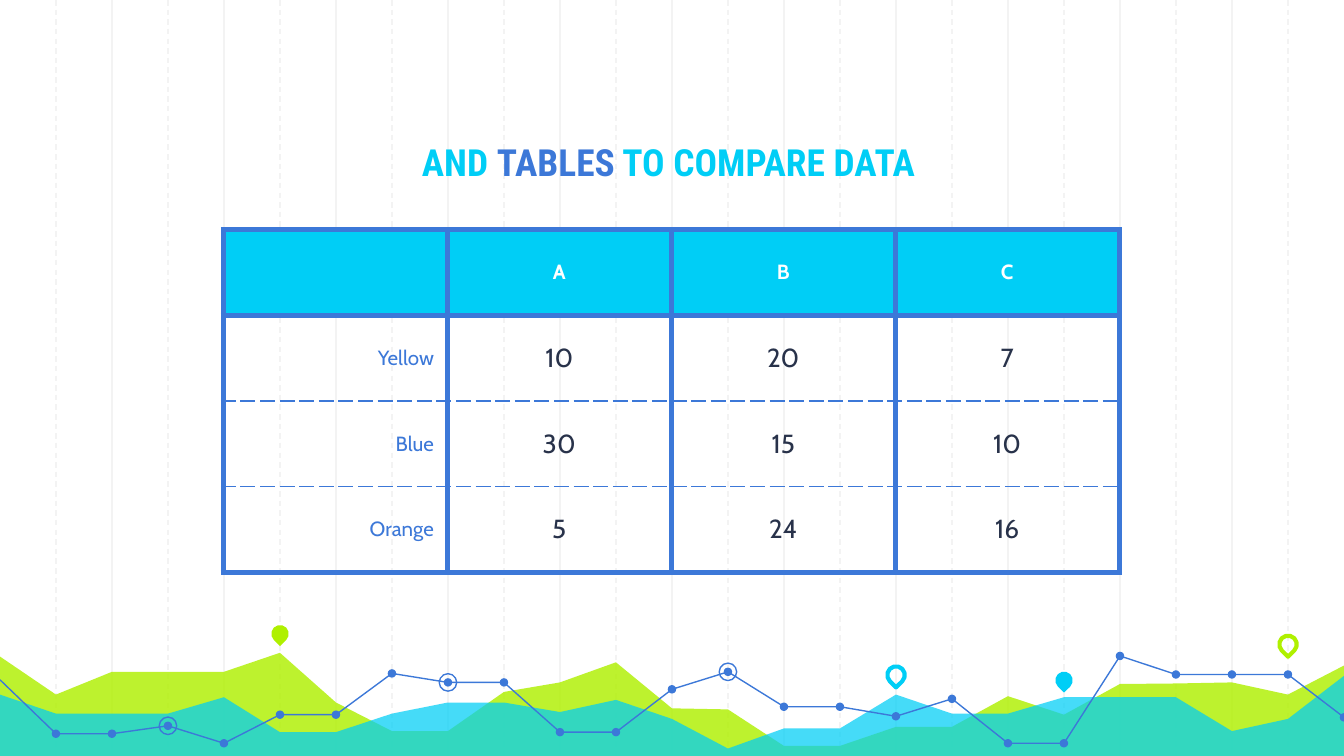
from dataclasses import dataclass
from typing import Optional

from lxml import etree
from pptx import Presentation
from pptx import util as u
from pptx.dml.color import RGBColor
from pptx.enum import dml, shapes, text
from pptx.oxml import ns

CYAN = RGBColor(0x00, 0xCE, 0xF6)
BLUE = RGBColor(0x3C, 0x78, 0xD8)
LIME = RGBColor(0xAF, 0xF0, 0x00)
NAVY = RGBColor(0x28, 0x32, 0x4A)
GREY = RGBColor(0xF3, 0xF3, 0xF3)
WHITE = RGBColor(0xFF, 0xFF, 0xFF)

WIDTH, HEIGHT, BOTTOM = 25.4, 14.29, 14.35
COLUMNS = 24
STEP = WIDTH / COLUMNS
THICK, THIN = 3, 0.75


@dataclass
class Area:
    color: RGBColor
    opacity: int
    heights: list[float]


@dataclass
class Marker:
    preset: shapes.MSO_SHAPE
    column: int
    y: float
    size: float
    fill: Optional[RGBColor] = None
    line: Optional[RGBColor] = None
    weight: float = THIN
    rotation: int = 0


@dataclass
class CellStyle:
    size: int
    color: RGBColor
    align: text.PP_ALIGN = text.PP_ALIGN.CENTER
    bold: bool = False
    fill: Optional[RGBColor] = None


AREAS = [
    Area(LIME, 82, [12.37, 13.13, 12.7, 12.7, 12.7, 12.34, 13.28, 13.82, 13.82,
                    13.08, 12.9, 12.52, 13.39, 13.41, 14.1, 14.1, 13.74, 13.74,
                    13.16, 13.51, 12.93, 12.92, 12.9, 13.13, 12.55]),
    Area(CYAN, 73, [13.11, 13.49, 13.49, 13.49, 13.18, 13.84, 13.84, 13.49, 13.28,
                    13.28, 13.46, 13.23, 13.59, 14.15, 13.77, 13.77, 13.13, 13.49,
                    13.49, 13.18, 13.18, 13.18, 13.82, 13.59, 12.73]),
]
TREND = [12.85, 13.87, 13.87, 13.72, 14.05, 13.51, 13.51, 12.73, 12.9, 12.9, 13.84,
         13.84, 13.03, 12.7, 13.36, 13.36, 13.54, 13.21, 14.05, 14.05, 12.4, 12.75,
         12.75, 12.75, 13.56]
TREND_PARTS = [(0, 11), (11, 20), (20, 24)]
RINGED = [8, 3, 13]


def pin(column: int, y: float, **paint) -> Marker:
    return Marker(shapes.MSO_SHAPE.TEAR, column, y, 0.33, weight=2.25, rotation=135, **paint)


PINS = [pin(5, 11.98, fill=LIME), pin(16, 12.76, line=CYAN),
        pin(19, 12.86, fill=CYAN), pin(23, 12.18, line=LIME)]

TITLE = [("AND ", CYAN), ("TABLES", BLUE), (" TO COMPARE DATA", CYAN)]
ROWS = [["", "A", "B", "C"],
        ["Yellow", "10", "20", "7"],
        ["Blue", "30", "15", "10"],
        ["Orange", "5", "24", "16"]]
HEADER = CellStyle(11, WHITE, bold=True, fill=CYAN)
LABEL = CellStyle(11, BLUE, align=text.PP_ALIGN.RIGHT)
VALUE = CellStyle(14, NAVY)


def paint(sp, fill: Optional[RGBColor], line: Optional[RGBColor], weight: float = THIN) -> None:
    sp.shadow.inherit = False
    if fill is None:
        sp.fill.background()
    else:
        sp.fill.solid()
        sp.fill.fore_color.rgb = fill
    if line is None:
        sp.line.fill.background()
    else:
        sp.line.color.rgb = line
        sp.line.width = u.Pt(weight)


def add_grid_line(s, column: int) -> None:
    x = u.Cm(column * STEP)
    line = s.shapes.add_connector(shapes.MSO_CONNECTOR.STRAIGHT, x, 0, x, u.Cm(BOTTOM))
    line.line.color.rgb = GREY
    line.line.width = u.Pt(THIN)
    if column % 2:
        line.line.dash_style = dml.MSO_LINE.DASH
    etree.SubElement(line.element.spPr, ns.qn("a:effectLst"))


def add_outline(s, points: list[tuple[float, float]], close: bool):
    start, *rest = [(u.Cm(x), u.Cm(y)) for x, y in points]
    builder = s.shapes.build_freeform(*start)
    builder.add_line_segments(rest, close=close)
    return builder.convert_to_shape()


def add_area(s, area: Area) -> None:
    left, right = -0.06, WIDTH + 0.06
    inner = [(i * STEP, y) for i, y in enumerate(area.heights)][1:-1]
    points = [(left, area.heights[0]), *inner, (right, area.heights[-1]),
              (right, BOTTOM), (left, BOTTOM)]
    sp = add_outline(s, points, True)
    paint(sp, area.color, None)
    color = sp.element.spPr.find(".//" + ns.qn("a:srgbClr"))
    etree.SubElement(color, ns.qn("a:alpha"), val=str(area.opacity * 1000))


def add_marker(s, m: Marker) -> None:
    sp = s.shapes.add_shape(m.preset, u.Cm(m.column * STEP - m.size / 2),
                            u.Cm(m.y - m.size / 2), u.Cm(m.size), u.Cm(m.size))
    sp.rotation = m.rotation
    paint(sp, m.fill, m.line, m.weight)


def add_trend(s) -> None:
    for first, last in TREND_PARTS:
        points = [(i * STEP, TREND[i]) for i in range(first, last + 1)]
        paint(add_outline(s, points, False), None, BLUE)
    for column in range(1, COLUMNS + 1):
        add_marker(s, Marker(shapes.MSO_SHAPE.OVAL, column, TREND[column], 0.16, fill=BLUE))
    for column in RINGED:
        add_marker(s, Marker(shapes.MSO_SHAPE.OVAL, column, TREND[column], 0.33, line=BLUE))


def add_run(p, words: str, font: str, size: int, color: RGBColor, bold: bool) -> None:
    r = p.add_run()
    r.text = words
    r.font.name = font
    r.font.size = u.Pt(size)
    r.font.bold = bold
    r.font.color.rgb = color


def format_title(title) -> None:
    title.left, title.top = u.Cm(2.92), u.Cm(1.75)
    title.width, title.height = u.Cm(19.43), u.Cm(1.98)
    tf = title.text_frame
    tf.auto_size = text.MSO_AUTO_SIZE.NONE
    tf.word_wrap = True
    tf.vertical_anchor = text.MSO_ANCHOR.BOTTOM
    tf.margin_left = tf.margin_right = tf.margin_top = tf.margin_bottom = u.Cm(0.25)
    p = tf.paragraphs[0]
    p.alignment = text.PP_ALIGN.CENTER
    for words, color in TITLE:
        add_run(p, words, "Roboto Condensed", 20, color, True)
    title.element.getparent().append(title.element)


def add_border(cell, side: str, dashed: bool) -> None:
    width = u.Pt(THIN if dashed else THICK)
    ln = etree.SubElement(cell._tc.get_or_add_tcPr(), ns.qn(f"a:ln{side}"), w=str(width))
    fill = etree.SubElement(ln, ns.qn("a:solidFill"))
    etree.SubElement(fill, ns.qn("a:srgbClr"), val=str(BLUE))
    etree.SubElement(ln, ns.qn("a:prstDash"), val="dash" if dashed else "solid")


def format_cell(cell, words: str, style: CellStyle, row: int) -> None:
    add_border(cell, "L", False)
    add_border(cell, "R", False)
    add_border(cell, "T", row > 1)
    add_border(cell, "B", 0 < row < len(ROWS) - 1)
    if style.fill is None:
        cell.fill.background()
    else:
        cell.fill.solid()
        cell.fill.fore_color.rgb = style.fill
    cell.vertical_anchor = text.MSO_ANCHOR.MIDDLE
    cell.margin_left = cell.margin_right = u.Cm(0.25)
    cell.margin_top = cell.margin_bottom = u.Cm(0.18)
    p = cell.text_frame.paragraphs[0]
    p.alignment = style.align
    if words:
        add_run(p, words, "Cabin", style.size, style.color, style.bold)


def add_data_table(s) -> None:
    table = s.shapes.add_table(len(ROWS), len(ROWS[0]), u.Cm(4.22), u.Cm(4.34),
                               u.Cm(16 * STEP), u.Cm(6.48)).table
    table.first_row = table.horz_banding = False
    for i, row in enumerate(ROWS):
        for j, words in enumerate(row):
            style = HEADER if i == 0 else LABEL if j == 0 else VALUE
            format_cell(table.cell(i, j), words, style, i)


def main() -> None:
    prs = Presentation()
    prs.slide_width, prs.slide_height = u.Cm(WIDTH), u.Cm(HEIGHT)
    s = prs.slides.add_slide(prs.slide_layouts[5])
    for column in [*range(2, COLUMNS, 2), *range(1, COLUMNS, 2)]:
        add_grid_line(s, column)
    for area in AREAS:
        add_area(s, area)
    add_trend(s)
    for marker in PINS:
        add_marker(s, marker)
    format_title(s.shapes.title)
    add_data_table(s)
    prs.save("out.pptx")


if __name__ == "__main__":
    main()
